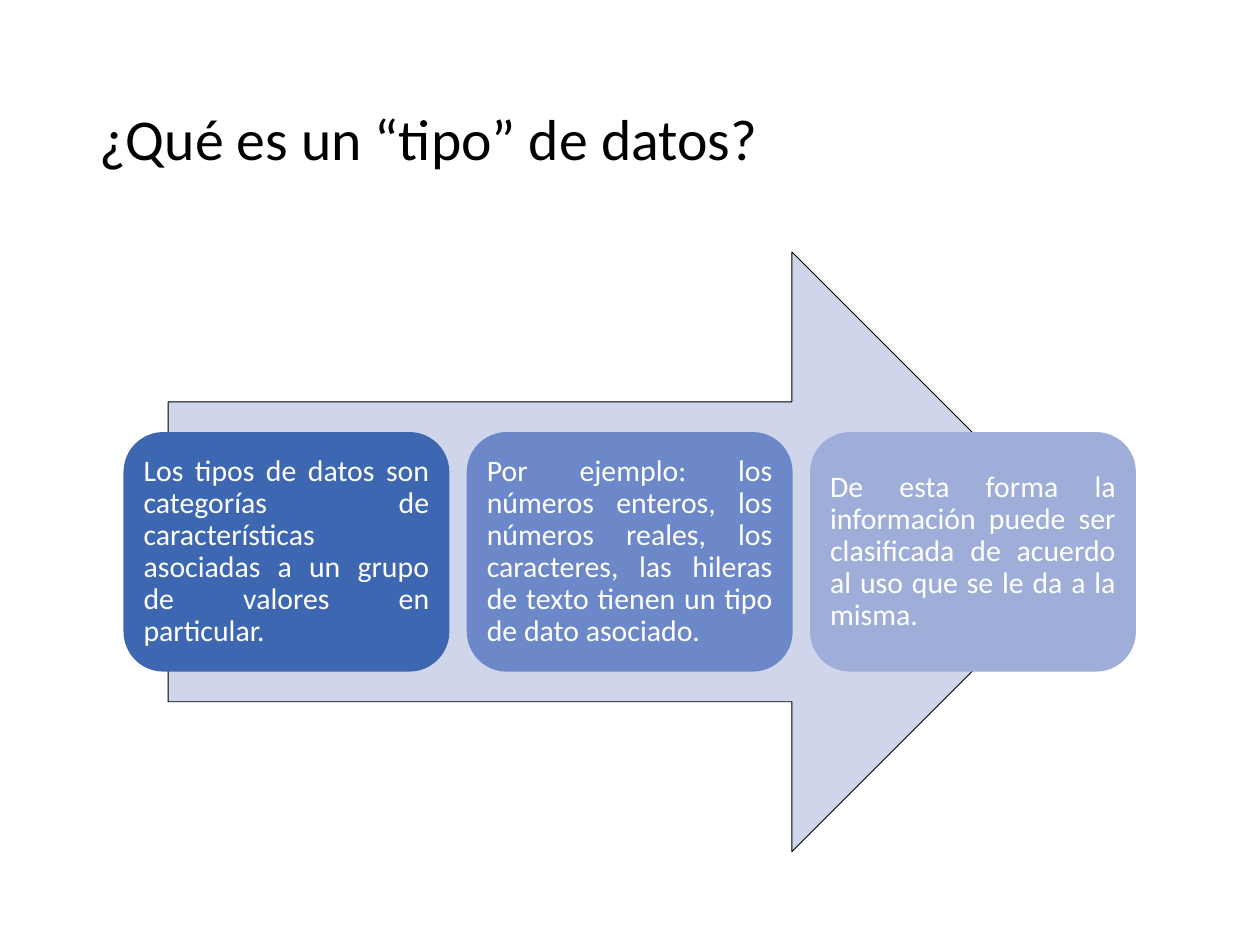
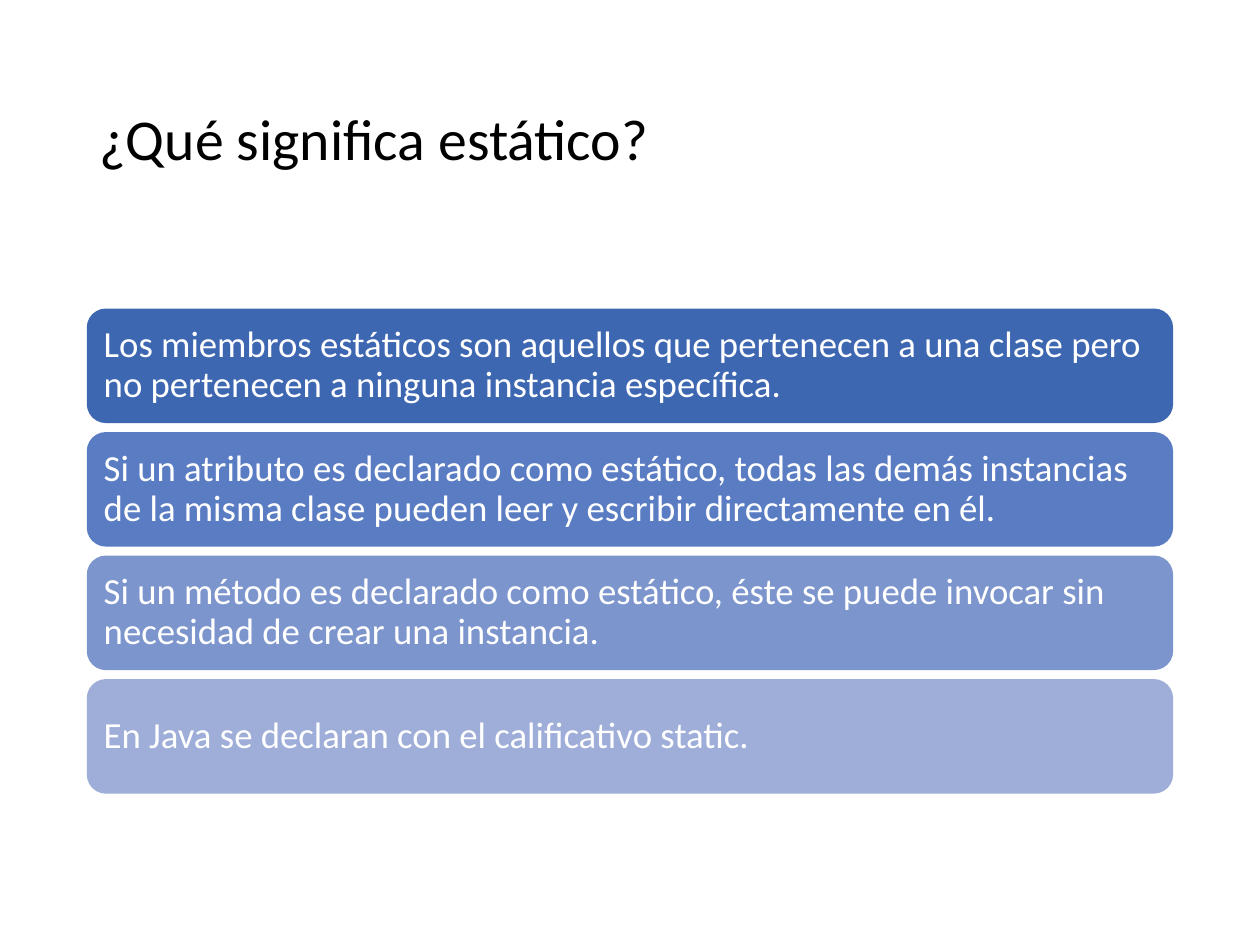
from pptx import Presentation
from pptx import util as u
from pptx.dml.color import RGBColor
from pptx.enum import shapes, text

# Content
TYPE_TITLE = "¿Qué es un “tipo” de datos?"
TYPE_STEPS = [
    ("Los tipos de datos son categorías de características asociadas a un grupo "
     "de valores en particular.", "deep"),
    ("Por ejemplo: los números enteros, los números reales, los caracteres, las "
     "hileras de texto tienen un tipo de dato asociado.", "medium"),
    ("De esta forma la información puede ser clasificada de acuerdo al uso que "
     "se le da a la misma.", "pale"),
]
STATIC_TITLE = "¿Qué significa estático?"
STATIC_FACTS = [
    ("Los miembros estáticos son aquellos que pertenecen a una clase pero no "
     "pertenecen a ninguna instancia específica.", "deep"),
    ("Si un atributo es declarado como estático, todas las demás instancias de "
     "la misma clase pueden leer y escribir directamente en él.", "strong"),
    ("Si un método es declarado como estático, éste se puede invocar sin "
     "necesidad de crear una instancia.", "soft"),
    ("En Java se declaran con el calificativo static.", "pale"),
]

# Shared style
COLORS = {
    "ink": "000000", "white": "FFFFFF", "arrow": "CFD5EA",
    "deep": "3E67B2", "strong": "5A7CC3", "medium": "6C88C8",
    "soft": "7D95CD", "pale": "9FAED8",
}
FONT = "Calibri"
SLIDE_W, SLIDE_H = 25.4, 19.05
MARGIN = 1.75
CONTENT_W = SLIDE_W - 2 * MARGIN


def color(name):
    return RGBColor.from_string(COLORS[name])


def box(left, top, width, height):
    return [u.Cm(round(length, 2)) for length in (left, top, width, height)]


def write(frame, words, size, ink, align=text.PP_ALIGN.LEFT, inset=None):
    frame.word_wrap = True
    frame.vertical_anchor = text.MSO_ANCHOR.MIDDLE
    if inset is not None:
        frame.margin_left = frame.margin_right = u.Cm(inset)
        frame.margin_top = frame.margin_bottom = u.Cm(inset)
    paragraph = frame.paragraphs[0]
    paragraph.text = words
    paragraph.alignment = align
    paragraph.line_spacing = 0.9
    paragraph.font.name = FONT
    paragraph.font.size = u.Pt(size)
    paragraph.font.color.rgb = color(ink)


def add_titled_slide(deck, title):
    slide = deck.slides.add_slide(deck.slide_layouts[6])
    heading = slide.shapes.add_textbox(*box(MARGIN, 1.02, CONTENT_W, 3.68))
    write(heading.text_frame, title, 33, "ink")
    return slide


def add_filled(slide, preset, place, fill):
    figure = slide.shapes.add_shape(preset, *box(*place))
    figure.shadow.inherit = False
    figure.fill.solid()
    figure.fill.fore_color.rgb = color(fill)
    figure.line.fill.background()
    return figure


def add_card(slide, place, words, fill, **style):
    card = add_filled(slide, shapes.MSO_SHAPE.ROUNDED_RECTANGLE, place, fill)
    write(card.text_frame, words, ink="white", **style)


def build_type_slide(deck):
    slide = add_titled_slide(deck, TYPE_TITLE)

    # Arrow behind the steps, both centred on the same axis
    arrow_w, arrow_h, arrow_top = 18.62, 12.09, 5.08
    arrow = add_filled(slide, shapes.MSO_SHAPE.RIGHT_ARROW,
                       ((SLIDE_W - arrow_w) / 2, arrow_top, arrow_w, arrow_h), "arrow")
    arrow.line.color.rgb = color("ink")
    arrow.line.width = u.Pt(0.5)

    # Row of steps
    step_w, step_h, gap = 6.57, 4.83, 0.35
    count = len(TYPE_STEPS)
    left = (SLIDE_W - count * step_w - (count - 1) * gap) / 2
    top = arrow_top + (arrow_h - step_h) / 2
    for i, (words, fill) in enumerate(TYPE_STEPS):
        add_card(slide, (left + i * (step_w + gap), top, step_w, step_h), words, fill,
                 size=17, align=text.PP_ALIGN.JUSTIFY, inset=0.17)


def build_static_slide(deck):
    slide = add_titled_slide(deck, STATIC_TITLE)

    # Stack of facts
    top, fact_h, gap = 6.22, 2.31, 0.18
    for i, (words, fill) in enumerate(STATIC_FACTS):
        add_card(slide, (MARGIN, top + i * (fact_h + gap), CONTENT_W, fact_h), words, fill,
                 size=21, inset=0.23)


def main():
    deck = Presentation()
    deck.slide_width, deck.slide_height = u.Cm(SLIDE_W), u.Cm(SLIDE_H)
    build_type_slide(deck)
    build_static_slide(deck)
    deck.save("out.pptx")


if __name__ == "__main__":
    main()
